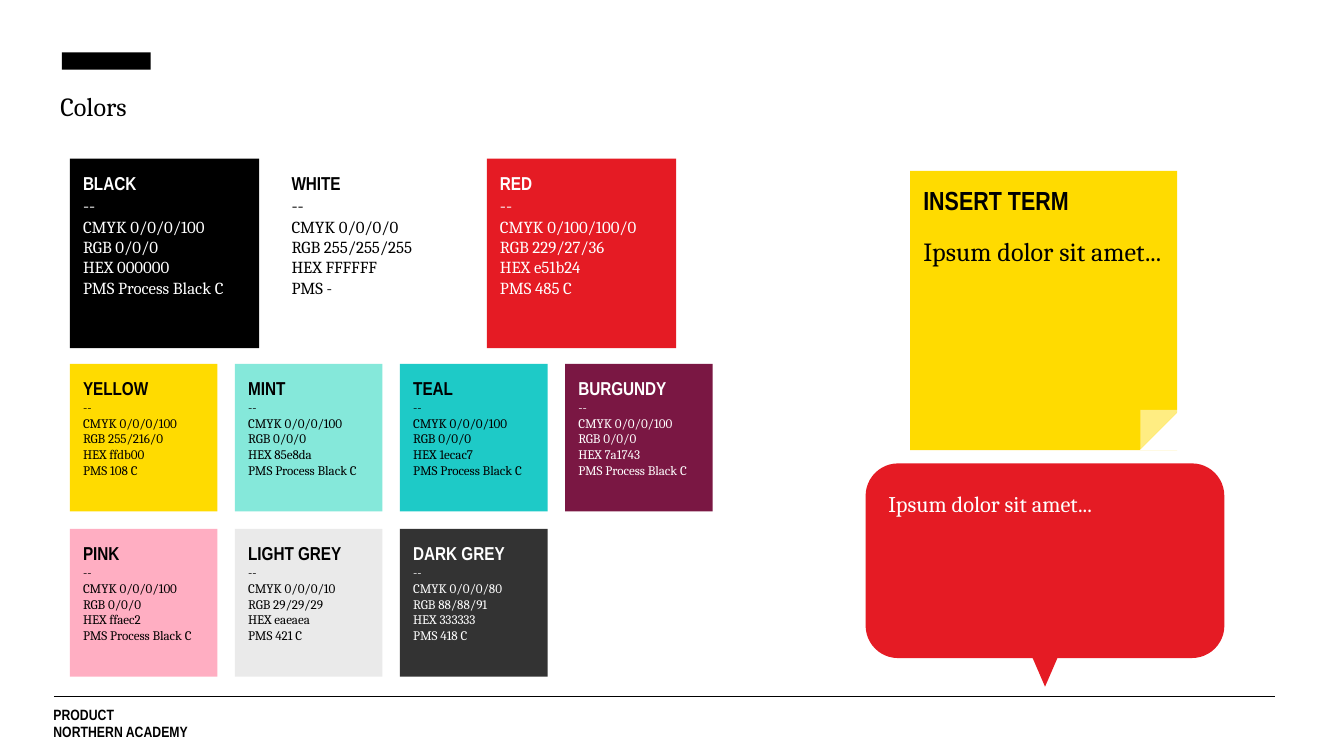
from pptx import Presentation
from pptx import util as u
from pptx.dml.color import RGBColor
from pptx.enum import shapes, text
from lxml import etree

HEX = {
    "black": "000000", "white": "FFFFFF", "red": "E51B24", "yellow": "FFDB00",
    "mint": "85E8DA", "teal": "1ECAC7", "burgundy": "7A1743",
    "pink": "FFAEC2", "light grey": "EAEAEA", "dark grey": "333333",
}
DARK = {"black", "red", "burgundy", "dark grey"}
HEAD, BODY = "Arial Narrow", "Cambria"
FORM = shapes.MSO_SHAPE
NS = "http://schemas.openxmlformats.org/drawingml/2006/main"


def tone(name):
    return RGBColor.from_string(HEX[name])


class Deck:
    def __init__(self, wide, high):
        self.prs = Presentation()
        self.prs.slide_width, self.prs.slide_height = u.Cm(wide), u.Cm(high)
        self.slide = self.prs.slides.add_slide(self.prs.slide_layouts[5])

    def typeset(self, shape, lines, ink):
        """Each line is (words, size, font, bold, line spacing, space before)."""
        frame = shape.text_frame
        frame.word_wrap = True
        frame.auto_size = text.MSO_AUTO_SIZE.NONE
        frame.vertical_anchor = text.MSO_ANCHOR.TOP
        frame.margin_left = frame.margin_right = u.Cm(0.25)
        frame.margin_top = frame.margin_bottom = u.Cm(0.25)
        for i, (words, size, face, bold, lead, gap) in enumerate(lines):
            para = frame.add_paragraph() if i else frame.paragraphs[0]
            para.text = words
            para.alignment = text.PP_ALIGN.LEFT
            para.line_spacing, para.space_before = lead, u.Pt(gap)
            font = para.font
            font.size, font.name, font.bold = u.Pt(size), face, bold
            font.color.rgb = tone(ink)

    def title(self, words, box):
        shape = self.slide.shapes.title
        shape.left, shape.top, shape.width, shape.height = map(u.Cm, box)
        self.typeset(shape, [(words, 14, BODY, False, 1.0, 0)], "black")

    def label(self, lines, box):
        shape = self.slide.shapes.add_textbox(*map(u.Cm, box))
        self.typeset(shape, lines, "black")

    def block(self, form, box, fill, turn=0, alpha=None):
        shape = self.slide.shapes.add_shape(form, *map(u.Cm, box))
        shape.shadow.inherit = False
        shape.rotation = turn
        shape.line.fill.background()
        shape.fill.solid()
        shape.fill.fore_color.rgb = tone(fill)
        if alpha is not None:
            color = shape._element.spPr.find(f".//{{{NS}}}srgbClr")
            etree.SubElement(color, f"{{{NS}}}alpha", val=str(alpha * 1000))
        return shape

    def swatch(self, name, codes, box, dash, size):
        shape = self.block(FORM.RECTANGLE, box, name)
        lines = [(name.upper(), 10, HEAD, True, 1.0, 0),
                 ("--", dash, BODY, False, 1.0, 0)]
        lines += [(code, size, BODY, False, 1.0, 0) for code in codes]
        self.typeset(shape, lines, "white" if name in DARK else "black")

    def rule(self, x1, y1, x2, y2):
        line = self.slide.shapes.add_connector(
            shapes.MSO_CONNECTOR.STRAIGHT, *map(u.Cm, (x1, y1, x2, y2)))
        line.line.color.rgb, line.line.width = tone("black"), u.Pt(0.75)
        etree.SubElement(line._element.spPr, f"{{{NS}}}effectLst")


def codes(cmyk, rgb, code, pms="Process Black C"):
    return [f"CMYK {cmyk}", f"RGB {rgb}", f"HEX {code}", f"PMS {pms}"]


LARGE = [
    ("black", codes("0/0/0/100", "0/0/0", "000000")),
    ("white", codes("0/0/0/0", "255/255/255", "FFFFFF", "-")),
    ("red", codes("0/100/100/0", "229/27/36", "e51b24", "485 C")),
]
SMALL = [
    ("yellow", codes("0/0/0/100", "255/216/0", "ffdb00", "108 C")),
    ("mint", codes("0/0/0/100", "0/0/0", "85e8da")),
    ("teal", codes("0/0/0/100", "0/0/0", "1ecac7")),
    ("burgundy", codes("0/0/0/100", "0/0/0", "7a1743")),
    ("pink", codes("0/0/0/100", "0/0/0", "ffaec2")),
    ("light grey", codes("0/0/0/10", "29/29/29", "eaeaea", "421 C")),
    ("dark grey", codes("0/0/0/80", "88/88/91", "333333", "418 C")),
]


def main():
    deck = Deck(25.4, 14.29)

    # Frame: top bar, footer and title
    deck.block(FORM.RECTANGLE, (1.17, 0.99, 1.68, 0.33), "black")
    deck.label([(words, 8, HEAD, True, 1.0, 0)
                for words in ("PRODUCT", "NORTHERN ACADEMY")],
               (0.76, 13.08, 23.34, 1.24))
    deck.rule(1.02, 13.16, 24.1, 13.16)
    deck.title("Colors", (0.89, 1.45, 23.34, 1.27))

    # Swatches: one large row, then small ones four to a row
    left = 1.32
    for i, (name, info) in enumerate(LARGE):
        deck.swatch(name, info, (left + 3.94 * i, 3, 3.58, 3.58), 10, 9)
    for i, (name, info) in enumerate(SMALL):
        row, col = divmod(i, 4)
        box = (left + 3.12 * col, 6.88 + 3.12 * row, 2.79, 2.79)
        deck.swatch(name, info, box, 7, 7)

    # Sticky note with a folded corner
    note = deck.block(FORM.RECTANGLE, (17.2, 3.23, 5.05, 5.28), "yellow")
    deck.typeset(note, [("INSERT TERM", 14, HEAD, True, 1.0, 0),
                        ("Ipsum dolor sit amet...", 14, BODY, False, 1.15, 8)],
                 "black")
    deck.block(FORM.RIGHT_TRIANGLE, (21.54, 7.77, 0.74, 0.74), "white", 270)
    deck.block(FORM.RIGHT_TRIANGLE, (21.55, 7.75, 0.74, 0.74), "white", 90, 51)

    # Speech bubble
    bubble = deck.block(FORM.ROUNDED_RECTANGLE, (16.36, 8.76, 6.78, 3.68), "red")
    deck.typeset(bubble, [("Ipsum dolor sit amet...", 12, BODY, False, 1.15, 0)],
                 "white")
    deck.block(FORM.ISOSCELES_TRIANGLE, (19.43, 12.24, 0.64, 0.74), "red", 180)

    deck.prs.save("out.pptx")


if __name__ == "__main__":
    main()
